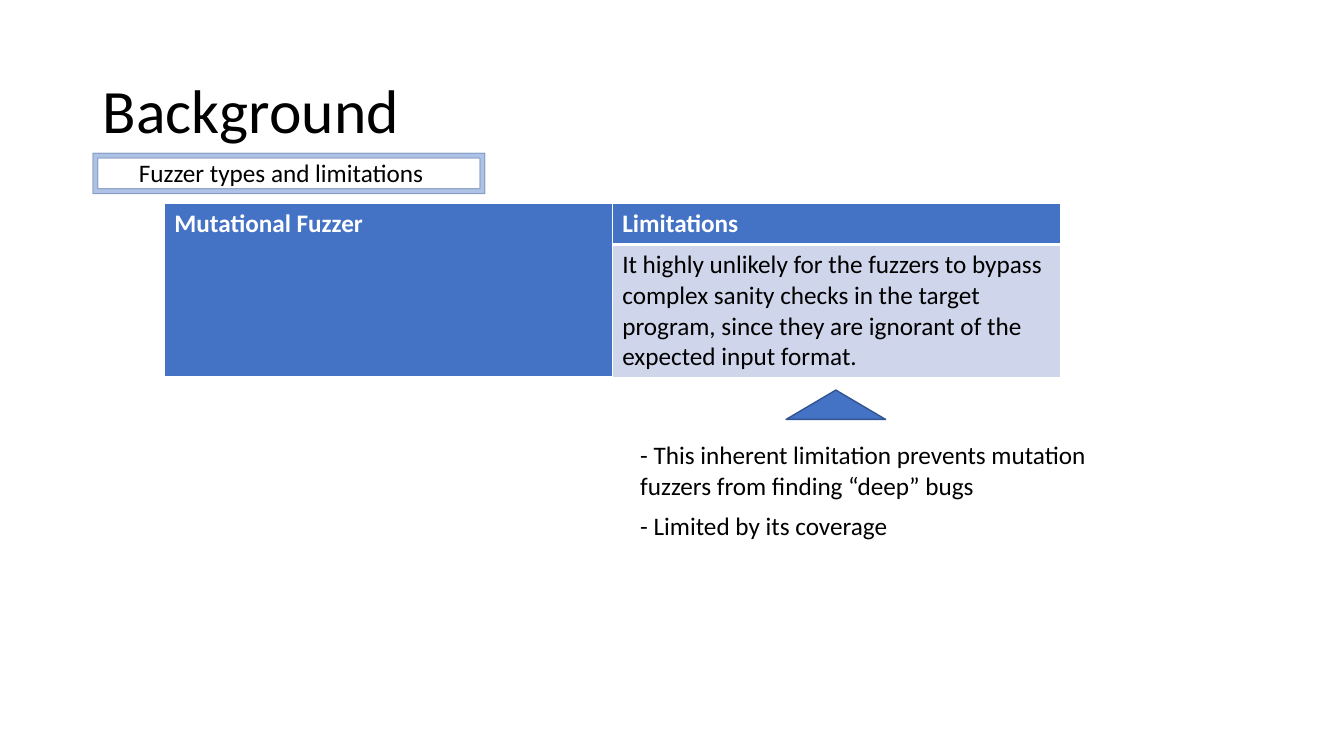
from dataclasses import dataclass

from pptx import Presentation
from pptx.dml.color import RGBColor
from pptx.enum.shapes import MSO_SHAPE
from pptx.enum.text import MSO_ANCHOR, MSO_AUTO_SIZE, PP_ALIGN
from pptx.oxml.ns import qn
from pptx.oxml.xmlchemy import OxmlElement
from pptx.util import Cm, Pt

TRIANGLE = MSO_SHAPE.ISOSCELES_TRIANGLE
FRAME = MSO_SHAPE.FRAME
MIDDLE = MSO_ANCHOR.MIDDLE
TOP = MSO_ANCHOR.TOP
LEFT = PP_ALIGN.LEFT
NO_FIT = MSO_AUTO_SIZE.NONE


@dataclass(frozen=True)
class Theme:
    font: str = "Calibri"
    title_size: int = 44
    text_size: int = 18
    ink: str = "000000"
    paper: str = "FFFFFF"
    accent: str = "4472C4"
    outline: str = "325491"
    band: str = "CFD5EA"


def add_text(p, text, *, font, size, color, bold=False):
    r = p.add_run()
    r.text = text
    r.font.name = font
    r.font.size = Pt(size)
    r.font.bold = bold
    r.font.color.rgb = RGBColor.from_string(color)


def set_alpha(color_parent, percent):
    for clr in color_parent.iter(qn("a:srgbClr")):
        alpha = OxmlElement("a:alpha")
        alpha.set("val", str(percent * 1000))
        clr.append(alpha)


def set_borders(cell, color, widths):
    tc_pr = cell._tc.get_or_add_tcPr()
    for side, width in zip("LRTB", widths):
        ln = OxmlElement(f"a:ln{side}")
        ln.set("w", str(Pt(width)))
        fill = OxmlElement("a:solidFill")
        clr = OxmlElement("a:srgbClr")
        clr.set("val", color)
        fill.append(clr)
        ln.append(fill)
        tc_pr.append(ln)


class SlideBuilder:
    def __init__(self, prs, theme):
        self.theme = theme
        self.s = prs.slides.add_slide(prs.slide_layouts[1])

    def text(self, p, text, size=None, color=None, bold=False):
        add_text(p, text, font=self.theme.font, bold=bold,
                 size=size or self.theme.text_size,
                 color=color or self.theme.ink)

    def place(self, sp, box):
        sp.left, sp.top, sp.width, sp.height = (Cm(v) for v in box)

    def title(self, text, box):
        sp = self.s.shapes.title
        self.place(sp, box)
        tf = sp.text_frame
        tf.auto_size = NO_FIT
        tf.vertical_anchor = MIDDLE
        p = tf.paragraphs[0]
        p.alignment = LEFT
        p.line_spacing = 0.9
        self.text(p, text, size=self.theme.title_size)

    def body(self, lines, box, gap):
        sp = self.s.placeholders[1]
        self.place(sp, box)
        tf = sp.text_frame
        tf.auto_size = NO_FIT
        tf.vertical_anchor = TOP
        for i, line in enumerate(lines):
            p = tf.add_paragraph() if i else tf.paragraphs[0]
            p.space_before = Pt(gap if i else 0)
            p_pr = p._p.get_or_add_pPr()
            p_pr.set("marL", "0")
            p_pr.set("indent", "0")
            p_pr.append(OxmlElement("a:buNone"))
            self.text(p, line)

    def table(self, rows, left, top, col_width, row_heights):
        th = self.theme
        frame = self.s.shapes.add_table(
            len(rows), len(rows[0]), Cm(left), Cm(top),
            Cm(col_width * len(rows[0])), Cm(sum(row_heights)))
        table = frame.table
        for col in table.columns:
            col.width = Cm(col_width)
        for row, height in zip(table.rows, row_heights):
            row.height = Cm(height)
        for i, row in enumerate(rows):
            for j, text in enumerate(row):
                cell = table.cell(i, j)
                header = i == 0 or j == 0
                top_width = 3 if i else 1
                bottom_width = 3 if header else 1
                set_borders(cell, th.paper, (1, 1, top_width, bottom_width))
                cell.fill.solid()
                cell.fill.fore_color.rgb = RGBColor.from_string(
                    th.accent if header else th.band)
                if text:
                    self.text(cell.text_frame.paragraphs[0], text, bold=header,
                              color=th.paper if header else th.ink)
        table.cell(0, 0).merge(table.cell(len(rows) - 1, 0))

    def shape(self, kind, box, line_width, shapes=None):
        sp = (shapes or self.s.shapes).add_shape(kind, *(Cm(v) for v in box))
        sp.shadow.inherit = False
        sp.fill.solid()
        sp.fill.fore_color.rgb = RGBColor.from_string(self.theme.accent)
        sp.line.color.rgb = RGBColor.from_string(self.theme.outline)
        sp.line.width = Pt(line_width)
        return sp

    def framed_label(self, text, frame_box, text_box):
        group = self.s.shapes.add_group_shape()
        frame = self.shape(FRAME, frame_box, 0, group.shapes)
        set_alpha(frame._element.spPr, 43)
        label = group.shapes.add_textbox(*(Cm(v) for v in text_box))
        label.text_frame.word_wrap = False
        self.text(label.text_frame.paragraphs[0], text)


def main():
    prs = Presentation()
    prs.slide_width, prs.slide_height = Cm(33.87), Cm(19.05)
    slide = SlideBuilder(prs, Theme())

    slide.title("Background", (2.34, 1.02, 29.21, 3.68))
    slide.table(
        [
            ["Mutational Fuzzer", "Limitations"],
            ["", "It highly unlikely for the fuzzers to bypass complex sanity "
                 "checks in the target program, since they are ignorant of the "
                 "expected input format."],
        ],
        left=4.14, top=5.13, col_width=11.29, row_heights=(1.03, 3.3))
    slide.body(
        [
            "- This inherent limitation prevents mutation fuzzers from finding "
            "“deep” bugs",
            "- Limited by its coverage",
        ],
        (15.88, 10.95, 11.81, 2.82), gap=7.2)
    slide.shape(TRIANGLE, (19.81, 9.83, 2.51, 0.74), 1)
    slide.framed_label("Fuzzer types and limitations",
                       (2.34, 3.86, 9.88, 1.02), (3.25, 3.84, 7.77, 1.02))

    prs.save("out.pptx")


if __name__ == "__main__":
    main()
